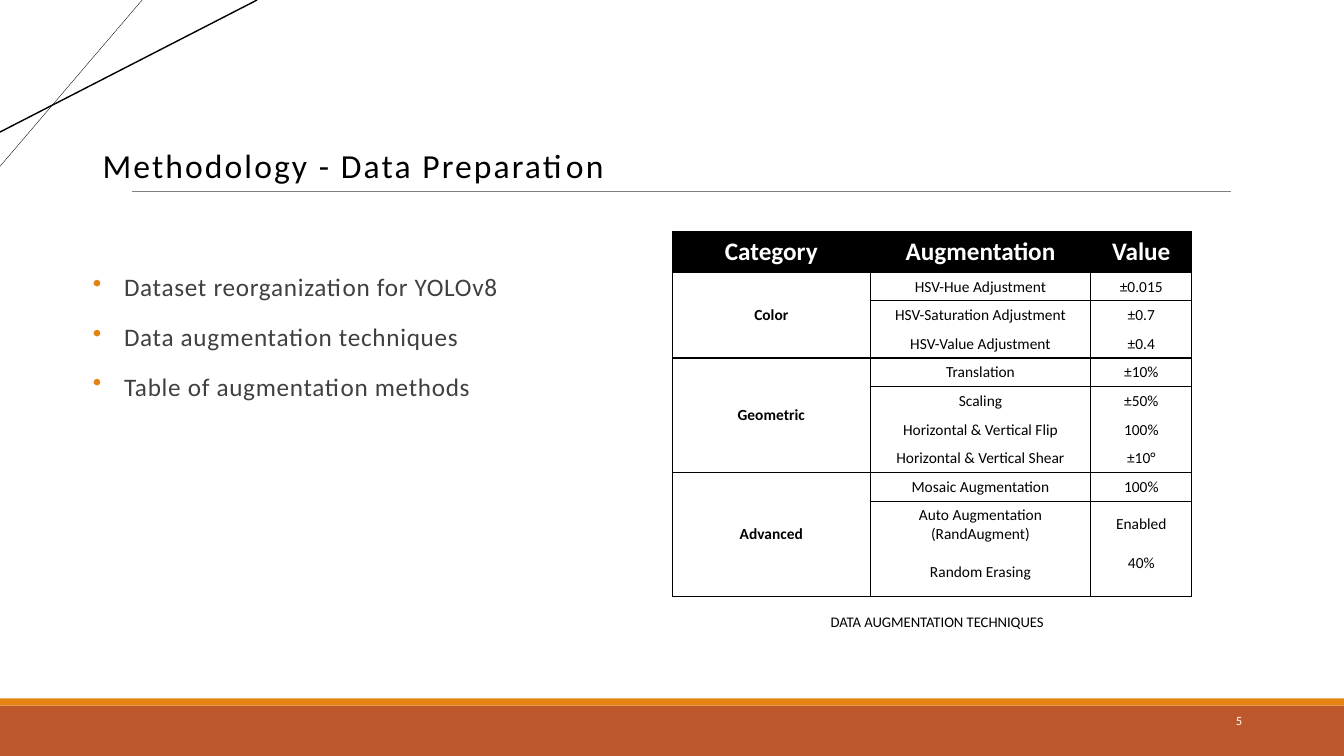
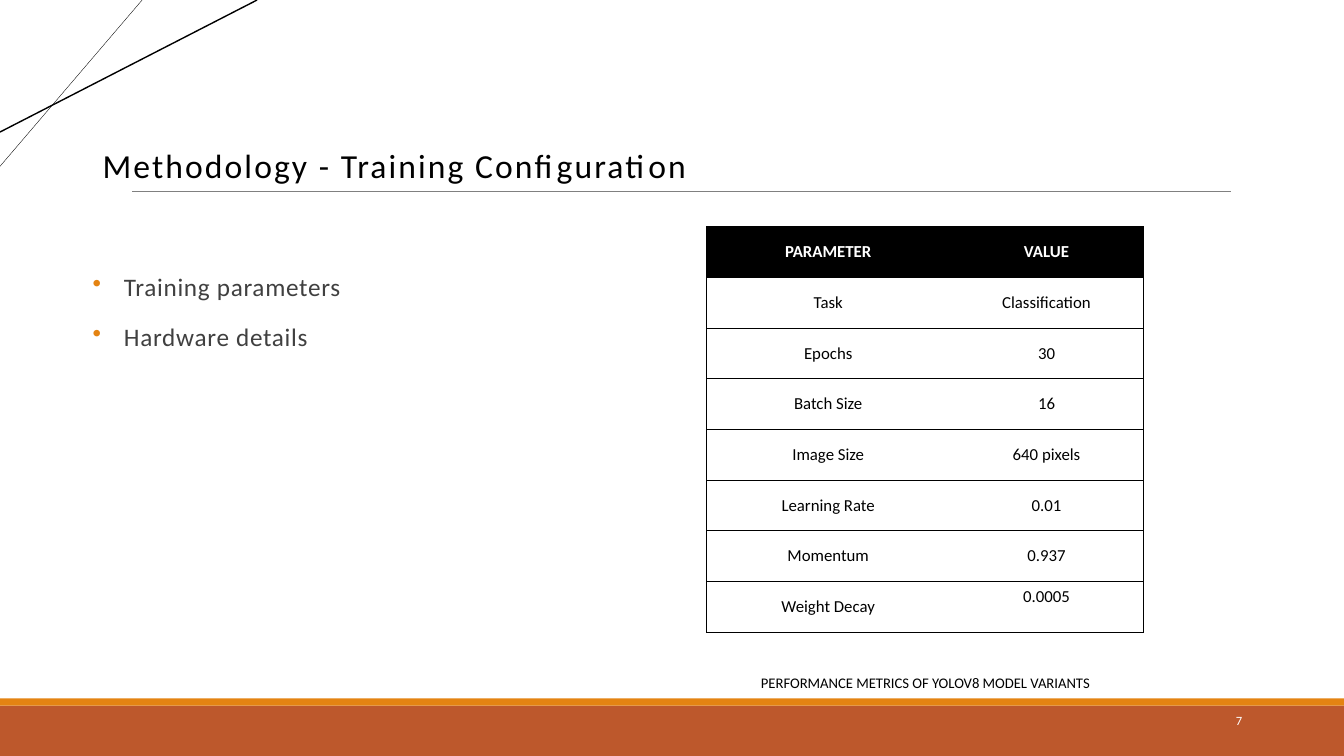
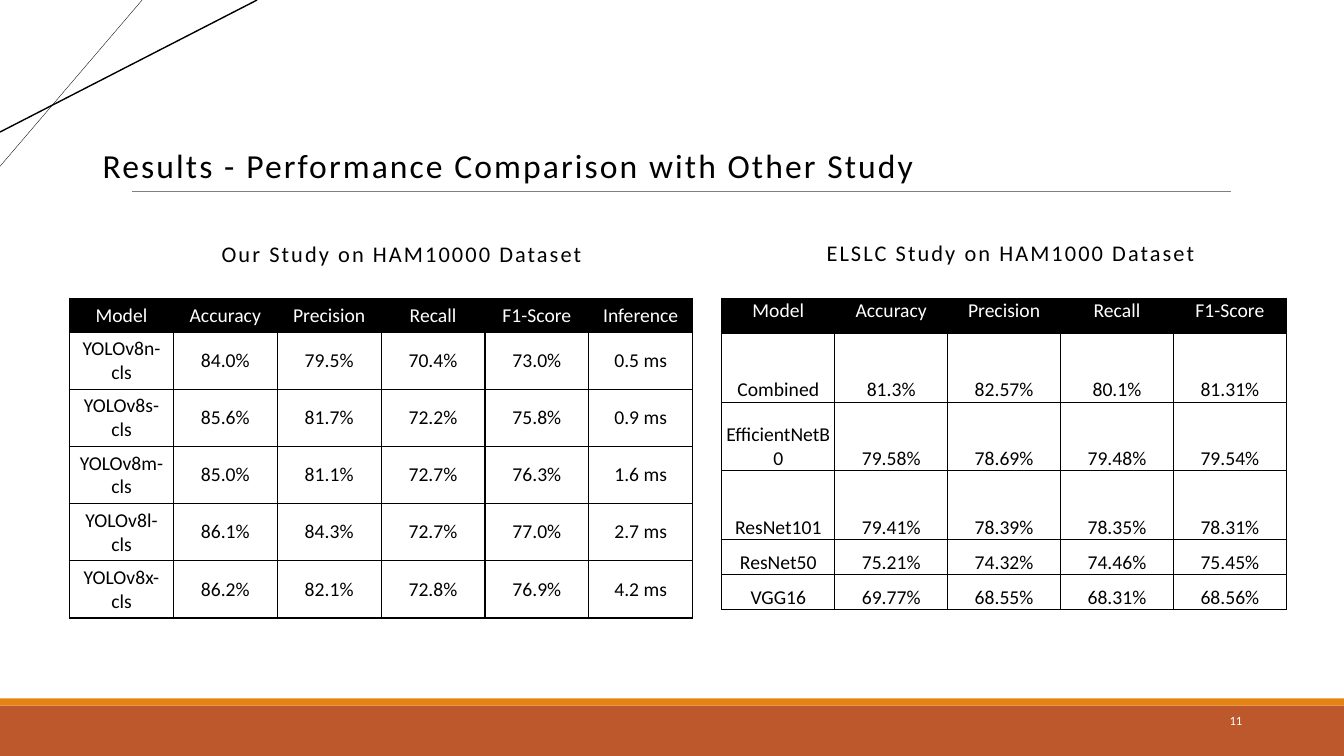
from lxml.etree import SubElement
from pptx import Presentation
from pptx.dml.color import RGBColor
from pptx.enum.shapes import MSO_CONNECTOR, MSO_SHAPE
from pptx.enum.text import MSO_ANCHOR, PP_ALIGN
from pptx.oxml.ns import qn
from pptx.util import Inches, Pt

BLACK, WHITE, GREY, DARK = "000000", "FFFFFF", "808080", "404040"
ORANGE, RUST = "E48312", "BD582C"
PLAIN_TABLE = "{2D5ABB26-0587-4C30-8999-92F81FD0307C}"
TOP, MIDDLE, BOTTOM = MSO_ANCHOR.TOP, MSO_ANCHOR.MIDDLE, MSO_ANCHOR.BOTTOM
CENTER, RIGHT = PP_ALIGN.CENTER, PP_ALIGN.RIGHT

# Shared look: left, top, width, height / from, to, colour, points
BANDS = [((0, 7, 13.33, 0.5), RUST), ((0, 6.93, 13.33, 0.07), ORANGE)]
LINES = [
    ((1.31, 1.9), (12.21, 1.9), GREY, 0.5),
    ((1.41, 0), (0, 1.65), BLACK, 0.25),
    ((2.55, 0), (0, 1.31), BLACK, 1),
]
TITLE = {"size": 24, "spc": 150, "para": {"line_spacing": 0.85},
         "frame": {"vertical_anchor": BOTTOM}}
NUMBER = {"size": 9, "color": WHITE, "para": {"alignment": RIGHT},
          "frame": {"vertical_anchor": MIDDLE}}
CAPTION = {"size": 10.5, "para": {"alignment": CENTER}}
HEADING = {"size": 16, "spc": 150, "frame": {"word_wrap": False}}
BODY = {
    "size": 18, "color": DARK, "spc": 50, "bullet": ORANGE,
    "para": {"space_before": Pt(12), "space_after": Pt(2)},
    "frame": {"margin_left": 0, "margin_top": 0, "margin_right": 0,
              "margin_bottom": Inches(0.05)},
}
TIGHT = {"margin_left": Inches(0.01), "margin_right": Inches(0.01),
         "margin_top": Inches(0.01), "margin_bottom": 0}

# In a table, "" continues the cell above; "across" and "down" number the
# grid lines that are ruled, and "raised" cells sit at the top.
METHODS = {
    "at": (6.67, 2.3), "cols": [1.96, 2.19, 1],
    "rows": [0.34] + [0.24] * 8 + [0.4, 0.48],
    "across": [0, 1, 4, 8, 11], "down": [0, 1, 3],
    "head": {"size": 18, "bold": True}, "size": 11, "groups": True,
    "raised": [(10, 2)],
    "cells": [
        ("Category", "Augmentation", "Value"),
        ("Color", "HSV-Hue Adjustment", "±0.015"),
        ("", "HSV-Saturation Adjustment", "±0.7"),
        ("", "HSV-Value Adjustment", "±0.4"),
        ("Geometric", "Translation", "±10%"),
        ("", "Scaling", "±50%"),
        ("", "Horizontal & Vertical Flip", "100%"),
        ("", "Horizontal & Vertical Shear", "±10°"),
        ("Advanced", "Mosaic Augmentation", "100%"),
        ("", "Auto Augmentation (RandAugment)", "Enabled"),
        ("", "Random Erasing", "40%"),
    ],
}
TRAINING = {
    "at": (7.01, 2.25), "cols": [2.41, 1.92], "rows": [0.503] * 8,
    "down": [0, 2], "head": {"size": 12, "bold": True}, "size": 12,
    "raised": [(7, 1)],
    "cells": [
        ("PARAMETER", "VALUE"),
        ("Task", "Classification"),
        ("Epochs", "30"),
        ("Batch Size", "16"),
        ("Image Size", "640 pixels"),
        ("Learning Rate", "0.01"),
        ("Momentum", "0.937"),
        ("Weight Decay", "0.0005"),
    ],
}
OURS = {
    "at": (0.69, 2.96), "cols": [1.03] * 6, "rows": [0.32] + [0.53] * 5,
    "head": {"size": 14}, "size": 14,
    "cells": [
        ("Model", "Accuracy", "Precision", "Recall", "F1-Score", "Inference"),
        ("YOLOv8n-cls", "84.0%", "79.5%", "70.4%", "73.0%", "0.5 ms"),
        ("YOLOv8s-cls", "85.6%", "81.7%", "72.2%", "75.8%", "0.9 ms"),
        ("YOLOv8m-cls", "85.0%", "81.1%", "72.7%", "76.3%", "1.6 ms"),
        ("YOLOv8l-cls", "86.1%", "84.3%", "72.7%", "77.0%", "2.7 ms"),
        ("YOLOv8x-cls", "86.2%", "82.1%", "72.8%", "76.9%", "4.2 ms"),
    ],
}
ELSLC = {
    "at": (7.16, 2.96), "cols": [1.12] * 5,
    "rows": [0.35] + [0.68] * 3 + [0.35] * 2,
    "head": {"size": 14}, "size": 14, "margins": TIGHT,
    "anchors": (TOP, BOTTOM),
    "cells": [
        ("Model", "Accuracy", "Precision", "Recall", "F1-Score"),
        ("Combined", "81.3%", "82.57%", "80.1%", "81.31%"),
        ("EfficientNetB0", "79.58%", "78.69%", "79.48%", "79.54%"),
        ("ResNet101", "79.41%", "78.39%", "78.35%", "78.31%"),
        ("ResNet50", "75.21%", "74.32%", "74.46%", "75.45%"),
        ("VGG16", "69.77%", "68.55%", "68.31%", "68.56%"),
    ],
}

SLIDES = [
    {"title": "Methodology - Data Preparation", "number": 5,
     "tables": [METHODS],
     "texts": [
         ((0.92, 2.69, 5.75, 3.93), BODY,
          ["Dataset reorganization for YOLOv8", "Data augmentation techniques",
           "Table of augmentation methods"]),
         ((7.82, 6.03, 2.95, 0.28), CAPTION, ["DATA AUGMENTATION TECHNIQUES"]),
     ]},
    {"title": "Methodology - Training Configuration", "number": 7,
     "tables": [TRAINING],
     "texts": [
         ((0.92, 2.69, 4.64, 3.93), BODY,
          ["Training parameters", "Hardware details"]),
         ((7.21, 6.64, 3.94, 0.28), CAPTION,
          ["PERFORMANCE METRICS OF YOLOV8 MODEL VARIANTS"]),
     ]},
    {"title": "Results - Performance Comparison with Other Study", "number": 11,
     "tables": [OURS, ELSLC],
     "texts": [
         ((2.1, 2.33, 3.81, 0.37), HEADING, ["Our Study on HAM10000 Dataset"]),
         ((8.1, 2.32, 3.9, 0.37), HEADING, ["ELSLC Study on HAM1000 Dataset"]),
     ]},
]


def rgb(color):
    return RGBColor.from_string(color)


def apply(target, values):
    for name, value in values.items():
        setattr(target, name, value)


def add_bullet(para, color):
    props = para._p.get_or_add_pPr()
    indent = Inches(0.31)
    props.set("marL", str(indent))
    props.set("indent", str(-indent))
    tint = SubElement(props, qn("a:buClr"))
    SubElement(tint, qn("a:srgbClr"), val=color)
    SubElement(props, qn("a:buChar"), char="•")


def write(frame, lines, style):
    for i, line in enumerate(lines):
        para = frame.paragraphs[0] if i == 0 else frame.add_paragraph()
        apply(para, style.get("para", {}))
        if "bullet" in style:
            add_bullet(para, style["bullet"])
        run = para.add_run()
        run.text = line
        apply(run.font, {"name": "Calibri", "size": Pt(style["size"]),
                         "bold": style.get("bold", False)})
        run.font.color.rgb = rgb(style.get("color", BLACK))
        if "spc" in style:
            run.font._element.set("spc", str(style["spc"]))


def add_text(slide, box, style, lines):
    frame = slide.shapes.add_textbox(*map(Inches, box)).text_frame
    apply(frame, {"word_wrap": True, **style.get("frame", {})})
    write(frame, lines, style)


def add_line(slide, start, end, color, width):
    line = slide.shapes.add_connector(
        MSO_CONNECTOR.STRAIGHT, *map(Inches, start + end))
    line.line.color.rgb = rgb(color)
    line.line.width = Pt(width)
    SubElement(line.element.spPr, qn("a:effectLst"))


def add_base(slide, title, number):
    """Draw the bands, lines, title and number that every slide has."""
    for box, color in BANDS:
        band = slide.shapes.add_shape(MSO_SHAPE.RECTANGLE, *map(Inches, box))
        band.shadow.inherit = False
        band.fill.solid()
        band.fill.fore_color.rgb = rgb(color)
        band.line.fill.background()
    for line in LINES:
        add_line(slide, *line)
    add_text(slide, (0.92, 1.05, 11.71, 0.84), TITLE, [title])
    add_text(slide, (11.34, 6.95, 1.08, 0.4), NUMBER, [str(number)])


def rule(cell, sides):
    """Give the named sides (L, R, T, B) of a cell a thin black border."""
    props = cell._tc.get_or_add_tcPr()
    for side in sides:
        line = SubElement(props, qn("a:ln" + side), w=str(Pt(1)))
        fill = SubElement(line, qn("a:solidFill"))
        SubElement(fill, qn("a:srgbClr"), val=BLACK)


def merge_groups(table, cells):
    starts = [r for r, row in enumerate(cells) if row[0]] + [len(cells)]
    for first, after in zip(starts, starts[1:]):
        if after - first > 1:
            table.cell(first, 0).merge(table.cell(after - 1, 0))


def add_table(slide, data):
    cells, cols, rows = data["cells"], data["cols"], data["rows"]
    size = (sum(cols), sum(rows))
    frame = slide.shapes.add_table(
        len(rows), len(cols), *map(Inches, data["at"] + size))
    frame.element.find(".//" + qn("a:tableStyleId")).text = PLAIN_TABLE
    table = frame.table
    table.horz_banding = False
    for col, width in zip(table.columns, cols):
        col.width = Inches(width)
    for row, height in zip(table.rows, rows):
        row.height = Inches(height)
    merge_groups(table, cells)

    across = data.get("across", range(len(rows) + 1))
    down = data.get("down", range(len(cols) + 1))
    head, body = data.get("anchors", (MIDDLE, MIDDLE))
    for r, words in enumerate(cells):
        for c, word in enumerate(words):
            cell = table.cell(r, c)
            end = r + (cell.span_height if cell.is_merge_origin else 1)
            edges = {"L": c in down, "R": c + 1 in down,
                     "T": r in across, "B": end in across}
            rule(cell, [side for side, on in edges.items() if on])
            if r == 0:
                cell.fill.solid()
                cell.fill.fore_color.rgb = rgb(BLACK)
                style = {**data["head"], "color": WHITE}
            else:
                cell.fill.background()
                bold = c == 0 and data.get("groups", False)
                style = {"size": data["size"], "bold": bold}
            raised = (r, c) in data.get("raised", [])
            anchor = TOP if raised else body if r else head
            apply(cell, {"vertical_anchor": anchor, **data.get("margins", {})})
            if word:
                style["para"] = {"alignment": CENTER}
                write(cell.text_frame, [word], style)


def main():
    deck = Presentation()
    deck.slide_width, deck.slide_height = Inches(13.33), Inches(7.5)
    for data in SLIDES:
        slide = deck.slides.add_slide(deck.slide_layouts[6])
        add_base(slide, data["title"], data["number"])
        for table in data["tables"]:
            add_table(slide, table)
        for box, style, lines in data["texts"]:
            add_text(slide, box, style, lines)
    deck.save("out.pptx")


if __name__ == "__main__":
    main()
